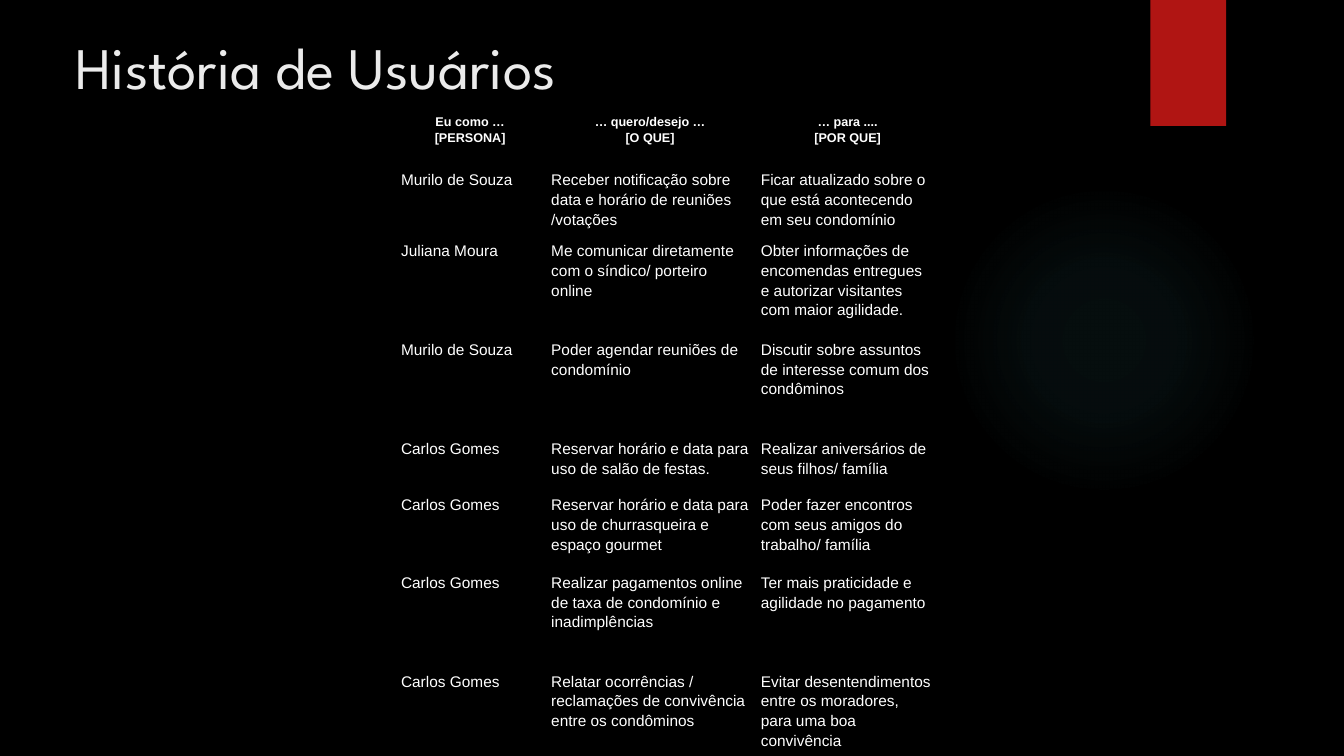
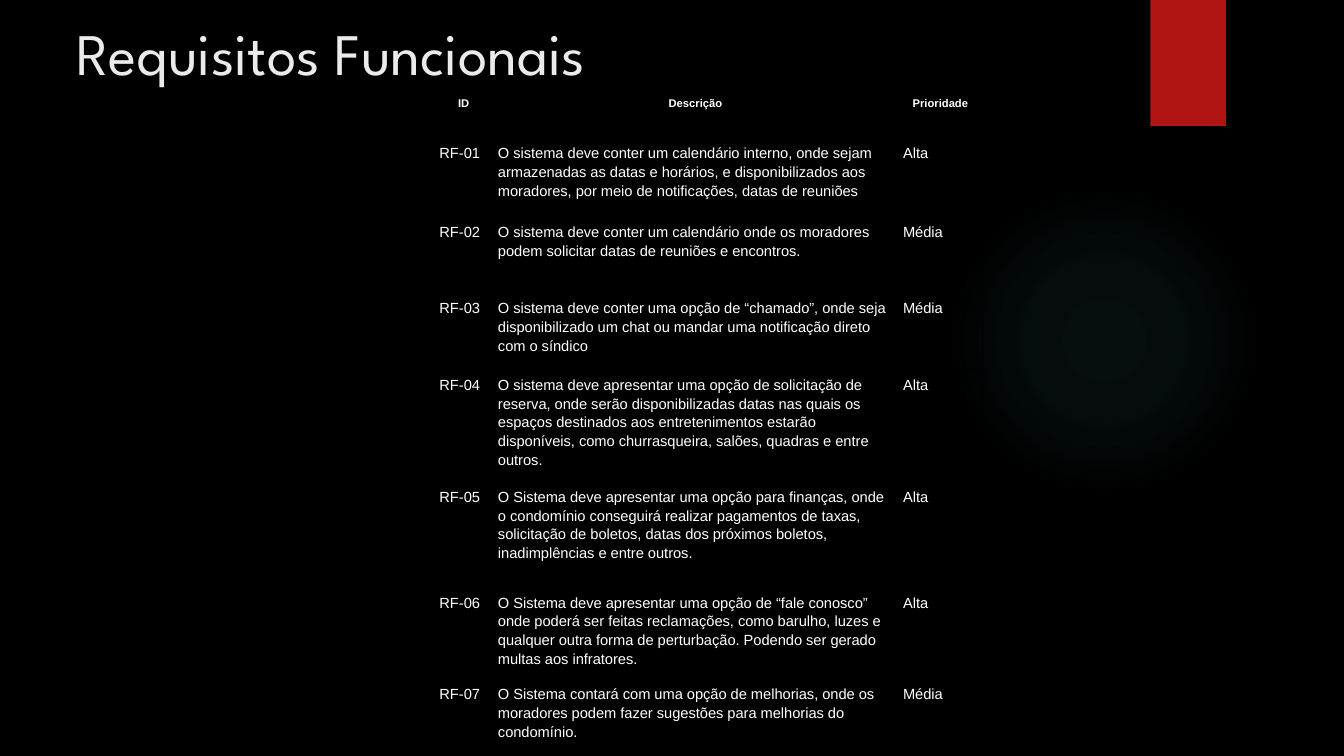
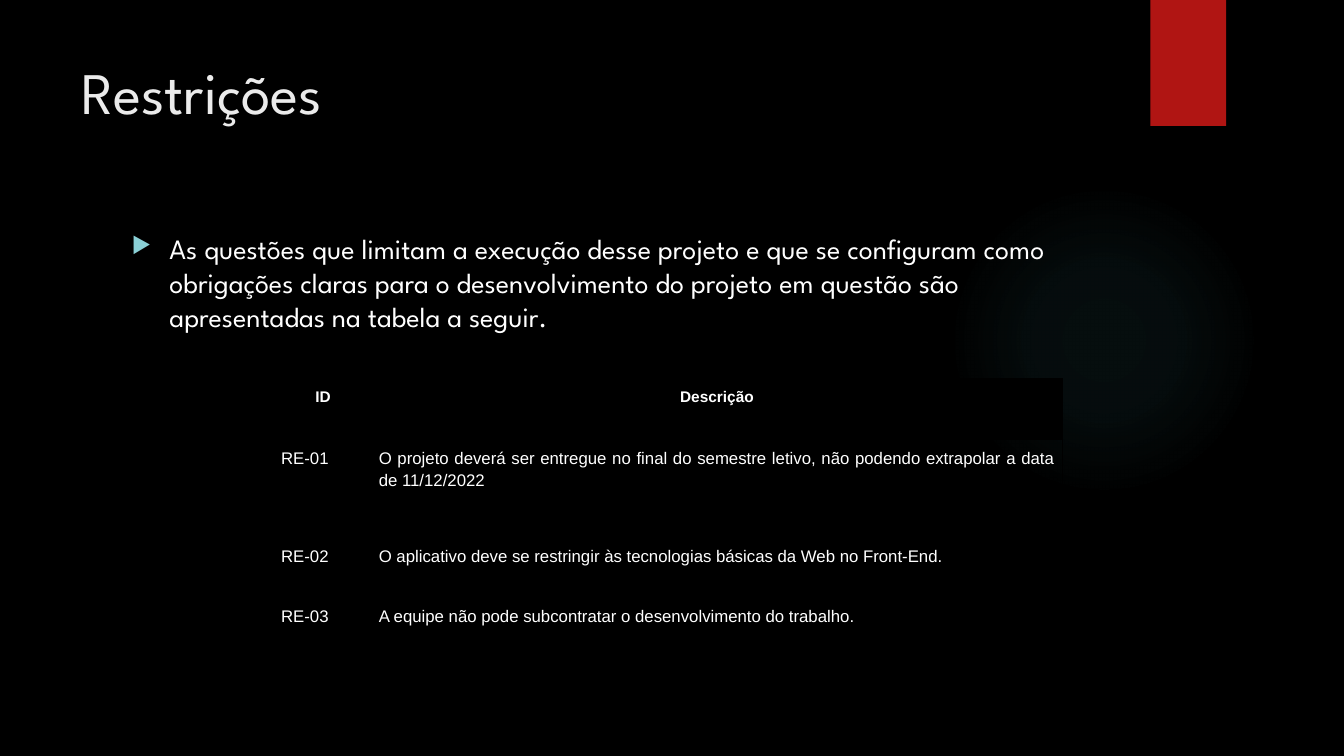
from lxml.etree import SubElement
from pptx import Presentation
from pptx.dml.color import RGBColor
from pptx.enum.shapes import MSO_SHAPE
from pptx.enum.text import MSO_ANCHOR, MSO_AUTO_SIZE, PP_ALIGN
from pptx.oxml import parse_xml
from pptx.oxml.ns import nsdecls, qn
from pptx.util import Pt

BLACK = RGBColor(0x00, 0x00, 0x00)
WHITE = RGBColor(0xFF, 0xFF, 0xFF)
TITLE_GRAY = RGBColor(0xEB, 0xEB, 0xEB)
RED = RGBColor(0xB0, 0x15, 0x13)
GLOW = RGBColor(0x50, 0xB9, 0xC1)
BULLET = RGBColor(0x8A, 0xD0, 0xD6)
HEAD_FONT = "League Spartan"
TABLE_FONT = "Arial"


def format_runs(tf, font, size, color, bold=False):
    for p in tf.paragraphs:
        for r in p.runs:
            r.font.name = font
            r.font.size = Pt(size)
            r.font.color.rgb = color
            r.font.bold = bold


def add_grid(s, left, top, widths, heights, rows, inset, sizes, align):
    """Add a black-bordered table; sizes are the header and body text sizes."""
    grid = s.shapes.add_table(len(rows), len(widths), Pt(left), Pt(top),
                              Pt(sum(widths)), Pt(sum(heights))).table
    for column, width in zip(grid.columns, widths):
        column.width = Pt(width)
    for i, (row, height, texts) in enumerate(zip(grid.rows, heights, rows)):
        row.height = Pt(height)
        header = i == 0
        for cell, text in zip(row.cells, texts):
            cell.margin_left = cell.margin_right = Pt(inset)
            cell.margin_top = cell.margin_bottom = Pt(inset)
            if header:
                cell.fill.solid()
                cell.fill.fore_color.rgb = BLACK
            else:
                cell.fill.background()
            tf = cell.text_frame
            tf.text = text
            for p in tf.paragraphs:
                p.alignment = PP_ALIGN.CENTER if header else align
                p.line_spacing = 1.15
            format_runs(tf, TABLE_FONT, sizes[0] if header else sizes[1], WHITE, header)
            tc_pr = cell._tc.get_or_add_tcPr()
            for k, side in enumerate(("lnL", "lnR", "lnT", "lnB")):
                tc_pr.insert(k, parse_xml(
                    f'<a:{side} {nsdecls("a")} w="12700"><a:solidFill>'
                    f'<a:srgbClr val="{BLACK}"/></a:solidFill></a:{side}>'))


STORIES = [
    ("Eu como …\n[PERSONA]", "… quero/desejo …\n[O QUE]", "… para ....\n[POR QUE]"),
    ("Murilo de Souza",
     "Receber notificação sobre data e horário de reuniões /votações",
     "Ficar atualizado sobre o que está acontecendo em seu condomínio"),
    ("Juliana Moura",
     "Me comunicar diretamente com o síndico/ porteiro online",
     "Obter informações de encomendas entregues e autorizar visitantes com maior agilidade."),
    ("Murilo de Souza",
     "Poder agendar reuniões de condomínio",
     "Discutir sobre assuntos de interesse comum dos condôminos"),
    ("Carlos Gomes",
     "Reservar horário e data para\nuso de salão de festas.",
     "Realizar aniversários de seus filhos/ família"),
    ("Carlos Gomes",
     "Reservar horário e data para uso de churrasqueira e espaço gourmet",
     "Poder fazer encontros com seus amigos do trabalho/ família"),
    ("Carlos Gomes",
     "Realizar pagamentos online de taxa de condomínio e inadimplências",
     "Ter mais praticidade e agilidade no pagamento"),
    ("Carlos Gomes",
     "Relatar ocorrências / reclamações de convivência entre os condôminos",
     "Evitar desentendimentos entre os moradores, para uma boa convivência"),
]

REQUIREMENTS = [
    ("ID", "Descrição", "Prioridade"),
    ("RF-01",
     "O sistema deve conter um calendário interno, onde sejam armazenadas as datas e "
     "horários, e disponibilizados aos moradores, por meio de notificações, datas de reuniões",
     "Alta"),
    ("RF-02",
     "O sistema deve conter um calendário onde os moradores podem solicitar datas de "
     "reuniões e encontros.",
     "Média"),
    ("RF-03",
     "O sistema deve conter uma opção de “chamado”, onde seja disponibilizado um chat ou "
     "mandar uma notificação direto com o síndico",
     "Média"),
    ("RF-04",
     "O sistema deve apresentar uma opção de solicitação de reserva, onde serão "
     "disponibilizadas datas nas quais os espaços destinados aos entretenimentos estarão "
     "disponíveis, como churrasqueira, salões, quadras e entre outros.",
     "Alta"),
    ("RF-05",
     "O Sistema deve apresentar uma opção para finanças, onde o condomínio conseguirá "
     "realizar pagamentos de taxas, solicitação de boletos, datas dos próximos boletos, "
     "inadimplências e entre outros.",
     "Alta"),
    ("RF-06",
     "O Sistema deve apresentar uma opção de “fale conosco” onde poderá ser feitas "
     "reclamações, como barulho, luzes e qualquer outra forma de perturbação. Podendo ser "
     "gerado multas aos infratores.",
     "Alta"),
    ("RF-07",
     "O Sistema contará com uma opção de melhorias, onde os moradores podem fazer "
     "sugestões para melhorias do condomínio.",
     "Média"),
]

CONSTRAINTS = [
    ("ID", "Descrição"),
    ("RE-01", "O projeto deverá ser entregue no final do semestre letivo, não podendo "
              "extrapolar a data de 11/12/2022"),
    ("RE-02", "O aplicativo deve se restringir às tecnologias básicas da Web no Front-End."),
    ("RE-03", "A equipe não pode subcontratar o desenvolvimento do trabalho."),
]

prs = Presentation()
prs.slide_width, prs.slide_height = Pt(960), Pt(540)
layout = prs.slide_layouts[5]
layout.background.fill.solid()
layout.background.fill.fore_color.rgb = BLACK

# Slides and their titles
slides = []
for title, left, top in (("História de Usuários", 46.8, 18),
                         ("Requisitos Funcionais", 47.5, 8),
                         ("Restrições", 51, 36)):
    s = prs.slides.add_slide(layout)
    sp = s.shapes.title
    sp.left, sp.top, sp.width, sp.height = Pt(left), Pt(top), Pt(741), Pt(110)
    tf = sp.text_frame
    tf.text = title
    tf.word_wrap = True
    tf.auto_size = MSO_AUTO_SIZE.NONE
    tf.vertical_anchor = MSO_ANCHOR.TOP
    tf.paragraphs[0].alignment = PP_ALIGN.LEFT
    format_runs(tf, HEAD_FONT, 42, TITLE_GRAY)
    slides.append(s)
stories, requirements, constraints = slides

# Shared decoration: drawn once, then moved to the layout
glow = stories.shapes.add_shape(MSO_SHAPE.OVAL, Pt(677.5), Pt(131.8), Pt(221.8), Pt(221.8))
ribbon = stories.shapes.add_shape(MSO_SHAPE.RECTANGLE, Pt(821.8), Pt(0), Pt(54), Pt(90))
ribbon.fill.solid()
ribbon.fill.fore_color.rgb = RED
stops = "".join(
    f'<a:gs pos="{pos * 1000}"><a:srgbClr val="{GLOW}"><a:alpha val="{alpha * 1000}"/>'
    f'</a:srgbClr></a:gs>' for pos, alpha in ((0, 7), (36, 6), (69, 0)))
glow.element.spPr.find(qn("a:prstGeom")).addnext(parse_xml(
    f'<a:gradFill {nsdecls("a")}><a:gsLst>{stops}</a:gsLst><a:path path="circle">'
    '<a:fillToRect l="50000" t="50000" r="50000" b="50000"/></a:path></a:gradFill>'))
for i, sp in enumerate((glow, ribbon)):
    sp.line.fill.background()
    sp.shadow.inherit = False
    sp.element.nvSpPr.cNvPr.set("id", str(20 + i))
    layout.shapes.element.insert(2 + i, sp.element)

# Tables
add_grid(stories, 282.2, 76.3, (107.28, 149.76, 132.48),
         (40.3, 49, 70.6, 70.6, 40.3, 55.4, 70.6, 55.4),
         STORIES, 4.3, (9, 11), PP_ALIGN.LEFT)
add_grid(requirements, 310.3, 64.8, (41.8, 289.4, 60.5),
         (33.8, 56.2, 54.7, 54.7, 79.9, 75.6, 65.5, 54.7),
         REQUIREMENTS, 3.6, (8, 10.5), PP_ALIGN.LEFT)
add_grid(constraints, 195.8, 270.7, (69.8, 493.2), (43.2, 69.8, 43.2, 43.2),
         CONSTRAINTS, 5, (11, 12), PP_ALIGN.JUSTIFY)

# Bulleted introduction to the constraints
intro = constraints.shapes.add_textbox(Pt(87), Pt(162), Pt(704), Pt(90))
tf = intro.text_frame
tf.word_wrap = True
tf.text = ("As questões que limitam a execução desse projeto e que se configuram como "
           "obrigações claras para o desenvolvimento do projeto em questão são "
           "apresentadas na tabela a seguir.")
format_runs(tf, HEAD_FONT, 20, WHITE)
p_pr = tf.paragraphs[0]._p.get_or_add_pPr()
p_pr.set("marL", str(Pt(27)))
p_pr.set("indent", str(Pt(-27)))
SubElement(SubElement(p_pr, qn("a:buClr")), qn("a:srgbClr")).set("val", str(BULLET))
SubElement(p_pr, qn("a:buSzPct")).set("val", "80000")
SubElement(p_pr, qn("a:buChar")).set("char", "▶")

prs.save("out.pptx")
